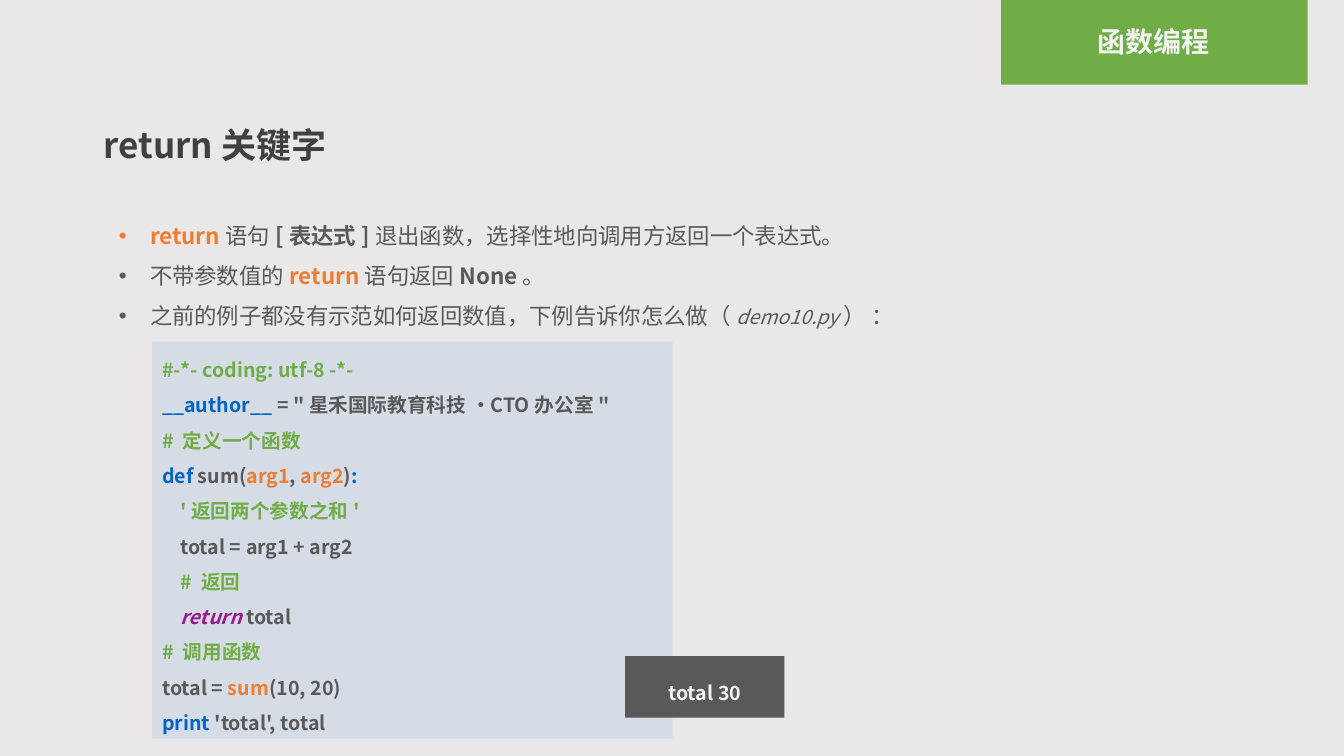
from dataclasses import dataclass
from typing import Optional, Sequence

from lxml.etree import SubElement
from pptx import Presentation
from pptx.dml.color import RGBColor
from pptx.enum.shapes import MSO_SHAPE
from pptx.enum.text import MSO_ANCHOR, PP_ALIGN
from pptx.oxml.ns import qn
from pptx.util import Inches, Pt

FONT = "Noto Sans CJK SC"
COLORS = {
    "background": "E9E7E7",
    "green": "70AD47",
    "orange": "ED7D31",
    "blue": "0563C1",
    "purple": "951D8C",
    "gray": "595959",
    "dark": "404040",
    "light": "F2F2F2",
    "panel": "D6DCE5",
}


@dataclass(frozen=True)
class Run:
    text: str
    color: str = "gray"
    bold: bool = False
    italic: bool = False
    size: Optional[int] = None


@dataclass(frozen=True)
class Line:
    runs: Sequence[Run]
    indent: float = 0
    bullet: bool = False


@dataclass(frozen=True)
class Box:
    left: float
    top: float
    width: float
    height: float

    def lengths(self) -> tuple:
        return tuple(Inches(n) for n in (self.left, self.top, self.width, self.height))


def code(*parts: tuple, level: int = 0) -> Line:
    runs = [Run(text, color, bold=True, italic=color == "purple") for text, color in parts]
    return Line(runs, indent=0.18 * level)


def heading(text: str, color: str) -> list:
    return [Line([Run(text, color, bold=True)])]


BULLETS = [
    Line([Run("return", "orange", bold=True), Run("语句"), Run("[表达式]", bold=True),
          Run("退出函数，选择性地向调用方返回一个表达式。")], 0.31, True),
    Line([Run("不带参数值的"), Run("return", "orange", bold=True), Run("语句返回"),
          Run("None", bold=True), Run("。")], 0.31, True),
    Line([Run("之前的例子都没有示范如何返回数值，下例告诉你怎么做（"),
          Run("demo10.py", italic=True, size=14), Run("） ：")], 0.31, True),
]

CODE = [
    code(("#-*- coding: utf-8 -*-", "green")),
    code(("__author__ ", "blue"), ("= \"星禾国际教育科技·CTO办公室\"", "gray")),
    code(("# 定义一个函数", "green")),
    code(("def", "blue"), (" sum(", "gray"), ("arg1", "orange"), (", ", "gray"),
         ("arg2", "orange"), (")", "gray"), (":", "blue")),
    code(("'返回两个参数之和'", "green"), level=1),
    code(("total = arg1 + arg2", "gray"), level=1),
    code(("# 返回", "green"), level=1),
    code(("return ", "purple"), ("total", "gray"), level=1),
    code(("# 调用函数", "green")),
    code(("total = ", "gray"), ("sum", "orange"), ("(10, 20)", "gray")),
    code(("print", "blue"), (" 'total', total", "gray")),
]


def write_lines(shape, lines: Sequence[Line], *, size: int, spacing: float = 1.0,
                align=PP_ALIGN.LEFT, anchor=MSO_ANCHOR.TOP) -> None:
    frame = shape.text_frame
    frame.word_wrap = True
    frame.vertical_anchor = anchor
    for index, line in enumerate(lines):
        paragraph = frame.add_paragraph() if index else frame.paragraphs[0]
        paragraph.alignment = align
        paragraph.line_spacing = spacing
        properties = paragraph._p.get_or_add_pPr()
        if line.indent:
            properties.set("marL", str(Inches(line.indent)))
        if line.bullet:
            properties.set("indent", str(-Inches(line.indent)))
            SubElement(properties, qn("a:buFont"), typeface="Arial")
            SubElement(properties, qn("a:buChar"), char="•")
        for part in line.runs:
            run = paragraph.add_run()
            run.text = part.text
            font = run.font
            font.name = FONT
            font.size = Pt(part.size or size)
            font.bold = part.bold
            font.italic = part.italic
            font.color.rgb = RGBColor.from_string(COLORS[part.color])
            SubElement(font._element, qn("a:ea"), typeface=FONT)


def add_panel(slide, box: Box, color: str):
    shape = slide.shapes.add_shape(MSO_SHAPE.RECTANGLE, *box.lengths())
    shape.shadow.inherit = False
    shape.fill.solid()
    shape.fill.fore_color.rgb = RGBColor.from_string(COLORS[color])
    shape.line.fill.background()
    return shape


def add_text(slide, box: Box, lines: Sequence[Line], **style) -> None:
    write_lines(slide.shapes.add_textbox(*box.lengths()), lines, **style)


presentation = Presentation()
presentation.slide_width = Inches(13.33)
presentation.slide_height = Inches(7.5)
slide = presentation.slides.add_slide(presentation.slide_layouts[6])
slide.background.fill.solid()
slide.background.fill.fore_color.rgb = RGBColor.from_string(COLORS["background"])

add_panel(slide, Box(9.93, 0, 3.04, 0.84), "green")
add_text(slide, Box(9.94, 0.23, 3, 0.42), heading("函数编程", "light"),
         size=20, spacing=0.9, align=PP_ALIGN.CENTER)
add_text(slide, Box(0.93, 1.18, 5.51, 0.52), heading("return关键字", "dark"), size=25)
add_text(slide, Box(1.08, 2.02, 11.57, 1.36), BULLETS, size=16, spacing=1.5)

code_panel = add_panel(slide, Box(1.51, 3.39, 5.16, 3.94), "panel")
write_lines(code_panel, CODE, size=14, spacing=1.5, anchor=MSO_ANCHOR.MIDDLE)
result_panel = add_panel(slide, Box(6.2, 6.51, 1.58, 0.61), "gray")
write_lines(result_panel, heading("total 30", "light"), size=14, spacing=1.5,
            align=PP_ALIGN.CENTER, anchor=MSO_ANCHOR.MIDDLE)

presentation.save("out.pptx")
